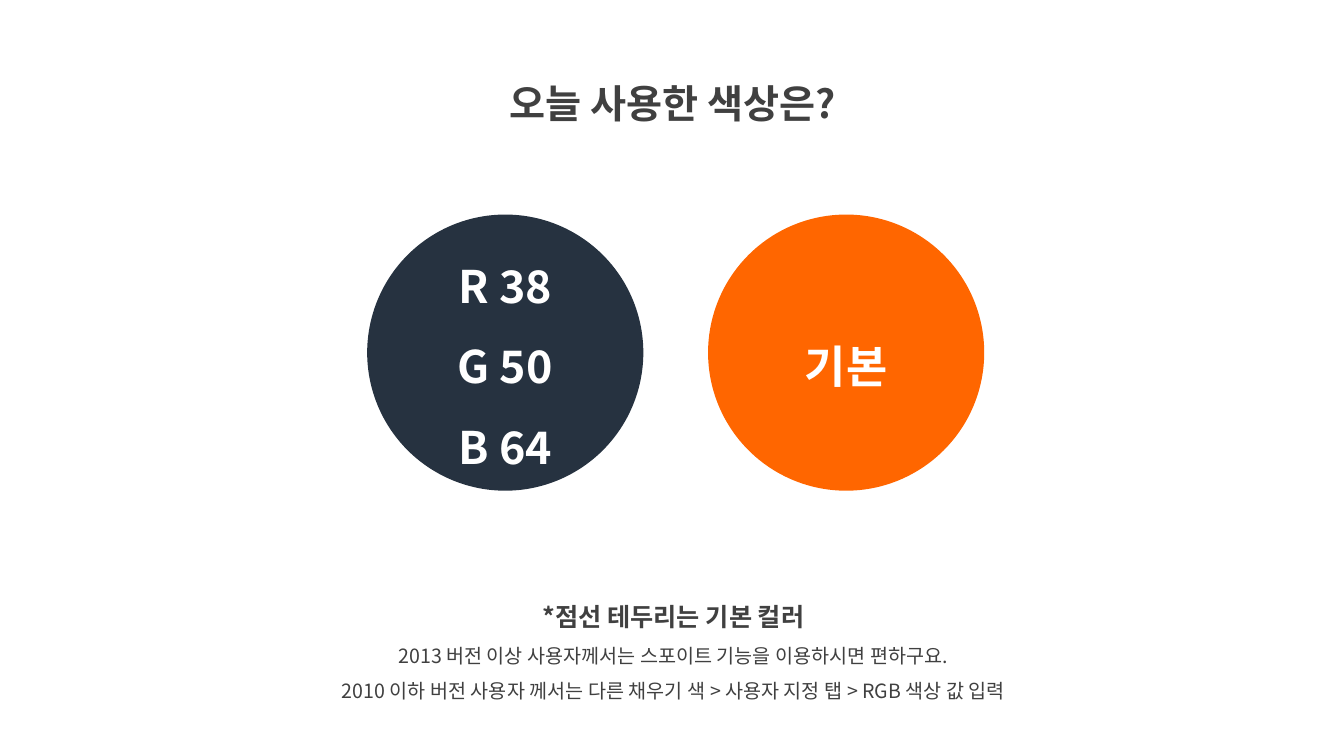
from lxml import etree
from pptx import Presentation
from pptx.dml.color import RGBColor
from pptx.enum.shapes import MSO_SHAPE
from pptx.enum.text import MSO_ANCHOR, PP_ALIGN
from pptx.oxml.ns import qn
from pptx.util import Pt

OVAL = MSO_SHAPE.OVAL
MIDDLE = MSO_ANCHOR.MIDDLE
CENTER = PP_ALIGN.CENTER
FONT = "Noto Sans CJK KR"
GREY = RGBColor(0x40, 0x40, 0x40)
WHITE = RGBColor(0xFF, 0xFF, 0xFF)
NAVY = RGBColor(0x26, 0x32, 0x40)
ORANGE = RGBColor(0xFF, 0x66, 0x00)

TITLE = "오늘 사용한 색상은?"
NOTES = [
    "*점선 테두리는 기본 컬러",
    "2013 버전 이상 사용자께서는 스포이트 기능을 이용하시면 편하구요.",
    "2010 이하 버전 사용자 께서는 다른 채우기 색 > 사용자 지정 탭 > RGB 색상 값 입력",
]
SWATCHES = [(NAVY, "R 38\nG 50\nB 64"), (ORANGE, "기본")]


def style(para, size, color, bold):
    """Centre a paragraph and set the font of its runs."""
    para.alignment = CENTER
    para.line_spacing = 1.5
    for run in para.runs:
        font = run.font
        font.name, font.size, font.bold = FONT, Pt(size), bold
        font.color.rgb = color
        latin = font._element.find(qn("a:latin"))
        east = etree.Element(qn("a:ea"), typeface=FONT)
        latin.addnext(east)


def add_text(slide, left, top, width, height, lines, sizes):
    """Add a text box whose first line is bold."""
    box = slide.shapes.add_textbox(Pt(left), Pt(top), Pt(width), Pt(height))
    frame = box.text_frame
    frame.word_wrap = True
    frame.text = "\n".join(lines)
    for i, (para, size) in enumerate(zip(frame.paragraphs, sizes)):
        style(para, size, GREY, i == 0)


def add_discs(slide, left, top, size, gap):
    """Add a row of colour discs with their labels."""
    for i, (color, label) in enumerate(SWATCHES):
        x = left + i * (size + gap)
        disc = slide.shapes.add_shape(OVAL, Pt(x), Pt(top), Pt(size), Pt(size))
        disc.shadow.inherit = False
        disc.fill.solid()
        disc.fill.fore_color.rgb = color
        disc.line.fill.background()
        frame = disc.text_frame
        frame.vertical_anchor = MIDDLE
        frame.text = label
        for para in frame.paragraphs:
            style(para, 32, WHITE, True)


def main():
    """Build the slide and save it."""
    deck = Presentation()
    deck.slide_width, deck.slide_height = Pt(960), Pt(540)
    slide = deck.slides.add_slide(deck.slide_layouts[6])
    add_text(slide, 314, 36, 333, 52, [TITLE], [28])
    add_text(slide, 193.5, 415.5, 575, 91, NOTES, [18, 14, 14])
    add_discs(slide, 262.25, 153.25, 197.25, 46.25)
    deck.save("out.pptx")


if __name__ == "__main__":
    main()
